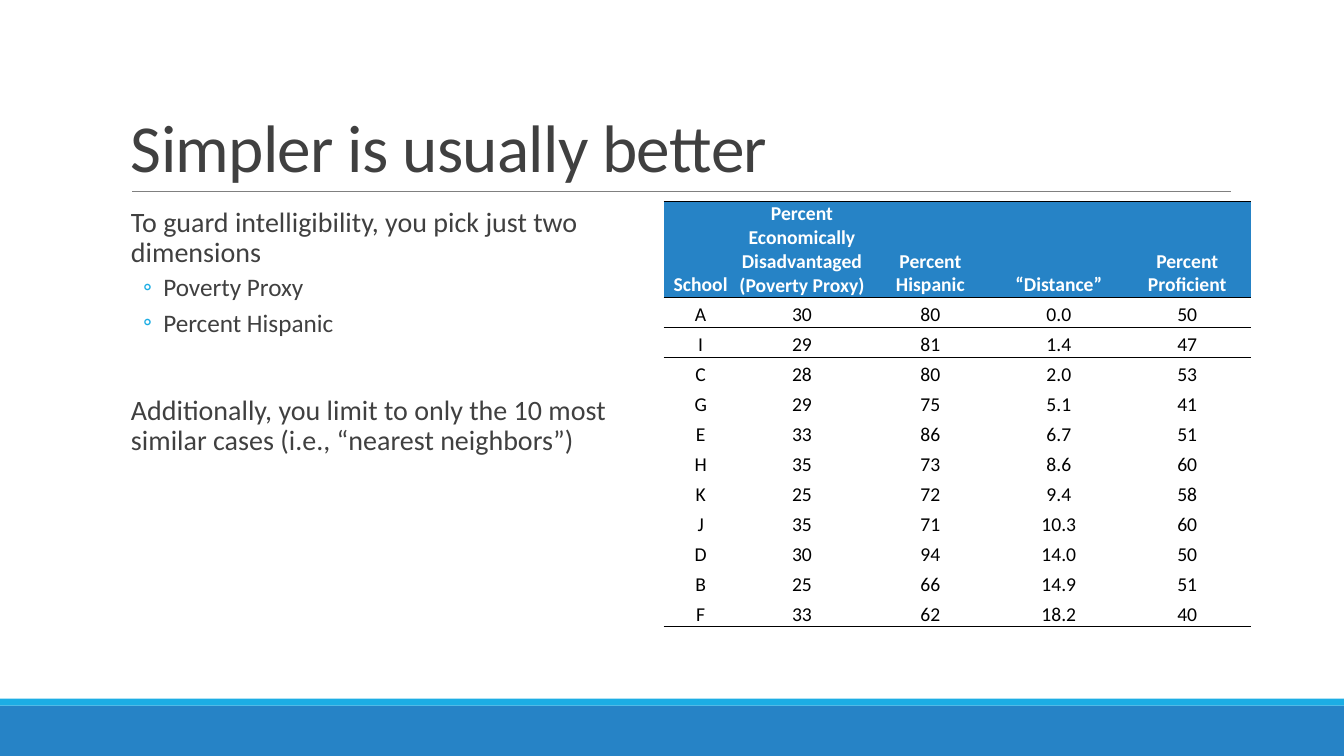
import pptx
import pptx.util
import pptx.dml.color
import pptx.enum.shapes
import pptx.enum.text
import pptx.oxml
import pptx.oxml.ns

Pt = pptx.util.Pt
qn = pptx.oxml.ns.qn
ANCHOR = pptx.enum.text.MSO_ANCHOR
ALIGN = pptx.enum.text.PP_ALIGN
NS = pptx.oxml.ns.nsdecls("a")

FONT = "Calibri"
COLORS = {
    "blue": "2683C6",
    "cyan": "1CADE4",
    "rule": "808080",
    "text": "404040",
    "black": "000000",
    "white": "FFFFFF",
}
NO_GRID_STYLE = "{2D5ABB26-0587-4C30-8999-92F81FD0307C}"

LEAD = {"line_spacing": 0.9, "space_before": Pt(12), "space_after": Pt(2)}
ITEM = {"line_spacing": 0.9, "space_before": Pt(2), "space_after": Pt(4)}
BODY = [
    ("To guard intelligibility, you pick just two dimensions", 20, LEAD),
    ("Poverty Proxy", 18, ITEM),
    ("Percent Hispanic", 18, ITEM),
    ("Additionally, you limit to only the 10 most similar cases "
     "(i.e., “nearest neighbors”)", 20, {**LEAD, "space_before": Pt(37.8)}),
]

SCHOOLS = [
    ("School", "Percent Economically Disadvantaged (Poverty Proxy)",
     "Percent Hispanic", "“Distance”", "Percent Proficient"),
    ("A", "30", "80", "0.0", "50"),
    ("I", "29", "81", "1.4", "47"),
    ("C", "28", "80", "2.0", "53"),
    ("G", "29", "75", "5.1", "41"),
    ("E", "33", "86", "6.7", "51"),
    ("H", "35", "73", "8.6", "60"),
    ("K", "25", "72", "9.4", "58"),
    ("J", "35", "71", "10.3", "60"),
    ("D", "30", "94", "14.0", "50"),
    ("B", "25", "66", "14.9", "51"),
    ("F", "33", "62", "18.2", "40"),
]


def rgb(name):
    return pptx.dml.color.RGBColor.from_string(COLORS[name])


def set_attrs(obj, values):
    for name, value in values.items():
        setattr(obj, name, value)


def add_run(p, text, size, color, bold=False):
    r = p.add_run()
    r.text = text
    set_attrs(r.font, {"name": FONT, "size": Pt(size), "bold": bold})
    r.font.color.rgb = rgb(color)
    return r


def add_text_frame(s, box, values):
    tf = s.shapes.add_textbox(*map(Pt, box)).text_frame
    set_attrs(tf, {"word_wrap": True, **values})
    return tf


def add_footer_bars(s, box):
    x, y, w, h = box
    stripe = 5
    for color, top, height in (("blue", y + stripe, h - stripe), ("cyan", y, stripe)):
        bar = s.shapes.add_shape(pptx.enum.shapes.MSO_SHAPE.RECTANGLE,
                                 Pt(x), Pt(top), Pt(w), Pt(height))
        bar.shadow.inherit = False
        bar.fill.solid()
        bar.fill.fore_color.rgb = rgb(color)
        bar.line.fill.background()


def add_title(s, box, text):
    x, y, w, h = box
    tf = add_text_frame(s, box, {"vertical_anchor": ANCHOR.BOTTOM})
    p = tf.paragraphs[0]
    p.line_spacing = 0.85
    r = add_run(p, text, 48, "text")
    r.font._element.set("spc", "-50")
    # Rule under the title
    rule = s.shapes.add_connector(pptx.enum.shapes.MSO_CONNECTOR.STRAIGHT,
                                  Pt(x + 8), Pt(y + h), Pt(x + w + 0.7), Pt(y + h))
    rule.line.color.rgb = rgb("rule")
    rule.line.width = Pt(0.5)
    rule._element.spPr.append(pptx.oxml.parse_xml(f"<a:effectLst {NS}/>"))


def add_body(s, box):
    tf = add_text_frame(s, box, {"margin_left": 0, "margin_right": 0})
    for i, (text, size, spacing) in enumerate(BODY):
        p = tf.add_paragraph() if i else tf.paragraphs[0]
        set_attrs(p, spacing)
        add_run(p, text, size, "text")
        is_item = spacing is ITEM
        left, indent = (30.24, -14.4) if is_item else (7.2, 0)
        pPr = p._p.get_or_add_pPr()
        pPr.set("marL", str(Pt(left)))
        pPr.set("indent", str(Pt(indent)))
        if is_item:
            p.level = 1
            for xml in (f'<a:buClr {NS}><a:srgbClr val="{COLORS["cyan"]}"/></a:buClr>',
                        f'<a:buFont {NS} typeface="{FONT}"/>',
                        f'<a:buChar {NS} char="◦"/>'):
                pPr.append(pptx.oxml.parse_xml(xml))


def add_border(cell, side):
    line = pptx.oxml.parse_xml(
        f'<a:{side} {NS} w="{Pt(0.5)}"><a:solidFill><a:srgbClr val="{COLORS["black"]}"/>'
        f"</a:solidFill></a:{side}>")
    cell._tc.get_or_add_tcPr().insert(0, line)


def add_school_table(s, box):
    header_h, school_w = 68.4, 53
    x, y, w, h = box
    n_rows, n_cols = len(SCHOOLS), len(SCHOOLS[0])
    table = s.shapes.add_table(n_rows, n_cols, *map(Pt, box)).table
    set_attrs(table, {"first_row": False, "horz_banding": False})
    table._tbl.tblPr.find(qn("a:tableStyleId")).text = NO_GRID_STYLE
    for i, col in enumerate(table.columns):
        col.width = Pt((w - school_w) / (n_cols - 1) if i else school_w)
    for i, row in enumerate(table.rows):
        row.height = Pt((h - header_h) / (n_rows - 1) if i else header_h)

    for i, values in enumerate(SCHOOLS):
        header = i == 0
        for j, text in enumerate(values):
            cell = table.cell(i, j)
            set_attrs(cell, {"vertical_anchor": ANCHOR.BOTTOM, "margin_left": Pt(0.7),
                             "margin_right": Pt(0.7), "margin_top": Pt(0.7),
                             "margin_bottom": 0})
            p = cell.text_frame.paragraphs[0]
            p.alignment = ALIGN.CENTER
            add_run(p, text, 14, "white" if header else "black", header)
            if header:
                cell.fill.solid()
                cell.fill.fore_color.rgb = rgb("blue")
            else:
                cell.fill.background()
            # Rules frame the header, the reference school and the table end
            if i in (0, 1, n_rows - 1):
                add_border(cell, "lnB")
            if i in (0, 1, 2):
                add_border(cell, "lnT")


prs = pptx.Presentation()
prs.slide_width, prs.slide_height = Pt(960), Pt(540)
s = prs.slides.add_slide(prs.slide_layouts[6])

add_footer_bars(s, (0, 499, 960, 41))
add_title(s, (86.4, 22.5, 792, 114.2), "Simpler is usually better")
add_body(s, (86.4, 145.4, 388.8, 316.8))
add_school_table(s, (474, 143.8, 420, 304))

prs.save("out.pptx")
